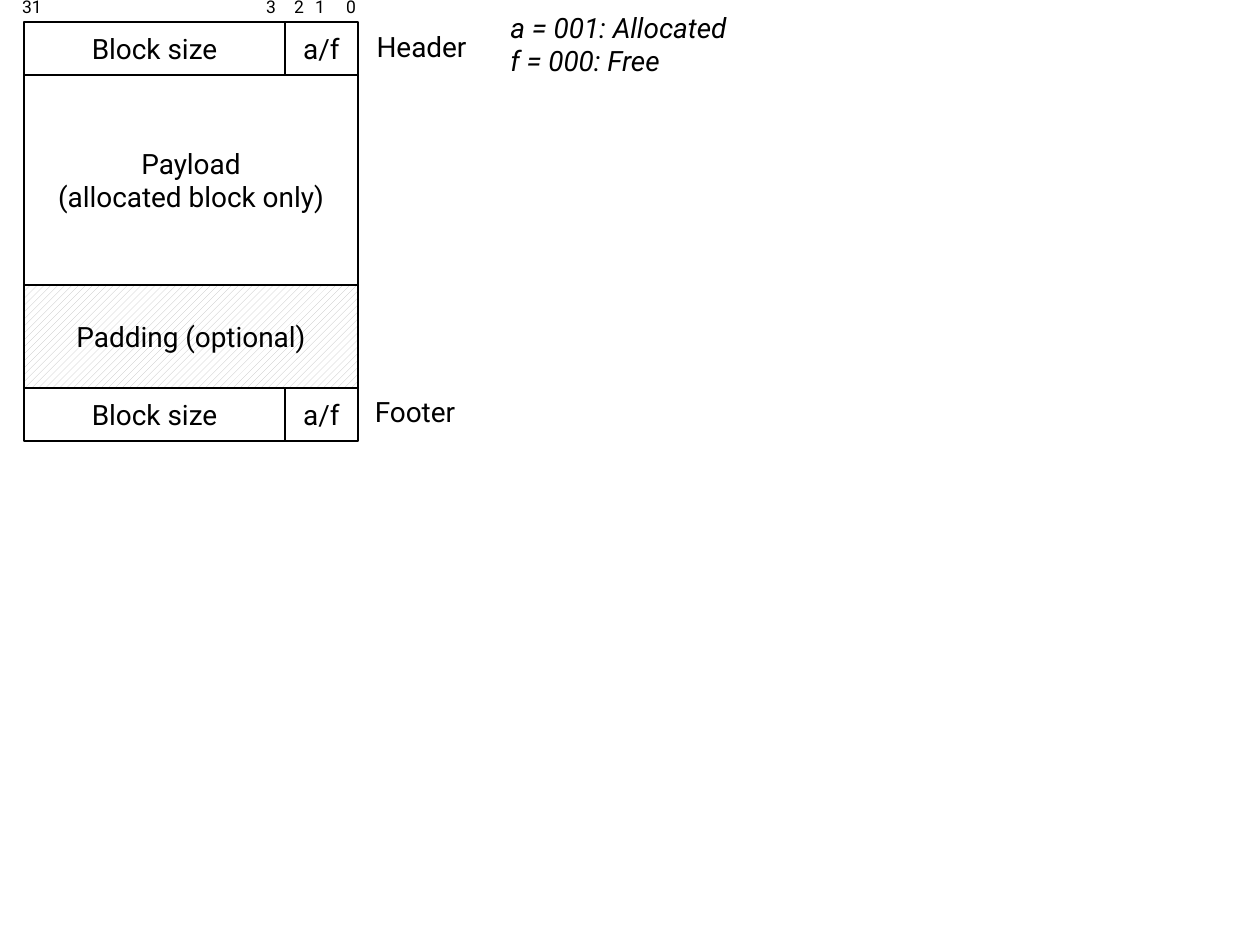
from dataclasses import dataclass
from typing import NamedTuple

from pptx import Presentation
from pptx import util as u
from pptx.dml.color import RGBColor
from pptx.enum import dml, shapes, text

PX_PER_INCH = 126


@dataclass(frozen=True)
class Theme:
    font: str = "Roboto"
    ink: RGBColor = RGBColor(0, 0, 0)
    paper: RGBColor = RGBColor(255, 255, 255)
    hatch: RGBColor = RGBColor(192, 192, 192)
    body: int = 16
    small: int = 10
    line: int = 1


class Field(NamedTuple):
    text: str
    x: int
    y: int
    w: int
    h: int
    hatched: bool = False


class Label(NamedTuple):
    text: str
    x: int
    y: int
    w: int
    h: int
    size: int
    italic: bool = False
    align: text.PP_ALIGN = text.PP_ALIGN.CENTER
    anchor: text.MSO_ANCHOR = text.MSO_ANCHOR.MIDDLE


THEME = Theme()
LEFT, SPLIT, RIGHT = 24, 285, 358
HEADER, PAYLOAD, PADDING, FOOTER, BOTTOM = 22, 75, 285, 388, 441
BIT_TOP, BIT_WIDTH, BIT_HEIGHT = -10, 50, 34
BIT_CENTERS = {"31": 32, "3": 271, "2": 299, "1": 320, "0": 351}


def px(n: int) -> u.Emu:
    return u.Emu(round(n * 914400 / PX_PER_INCH))


def write(tf, content: str, *, size: int = THEME.body, italic: bool = False,
          align=text.PP_ALIGN.CENTER, anchor=text.MSO_ANCHOR.MIDDLE) -> None:
    tf.word_wrap = False
    tf.vertical_anchor = anchor
    for i, line in enumerate(content.split("\n")):
        p = tf.paragraphs[0] if i == 0 else tf.add_paragraph()
        p.alignment = align
        r = p.add_run()
        r.text = line
        r.font.name = THEME.font
        r.font.size = u.Pt(size)
        r.font.italic = italic
        r.font.color.rgb = THEME.ink


def draw_field(s, field: Field) -> None:
    sp = s.shapes.add_shape(shapes.MSO_SHAPE.RECTANGLE,
                            px(field.x), px(field.y), px(field.w), px(field.h))
    sp.shadow.inherit = False
    if field.hatched:
        sp.fill.patterned()
        sp.fill.pattern = dml.MSO_PATTERN.WIDE_UPWARD_DIAGONAL
        sp.fill.fore_color.rgb = THEME.hatch
        sp.fill.back_color.rgb = THEME.paper
    else:
        sp.fill.solid()
        sp.fill.fore_color.rgb = THEME.paper
    sp.line.color.rgb = THEME.ink
    sp.line.width = u.Pt(THEME.line)
    write(sp.text_frame, field.text)


def draw_label(s, label: Label) -> None:
    tb = s.shapes.add_textbox(px(label.x), px(label.y), px(label.w), px(label.h))
    write(tb.text_frame, label.text, size=label.size, italic=label.italic,
          align=label.align, anchor=label.anchor)
    tb.text_frame.auto_size = text.MSO_AUTO_SIZE.SHAPE_TO_FIT_TEXT


def tag_row(top: int, bottom: int) -> list[Field]:
    return [Field("Block size", LEFT, top, SPLIT - LEFT, bottom - top),
            Field("a/f", SPLIT, top, RIGHT - SPLIT, bottom - top)]


def main() -> None:
    prs = Presentation()
    prs.slide_width, prs.slide_height = px(1260), px(945)
    s = prs.slides.add_slide(prs.slide_layouts[6])

    fields = [
        *tag_row(HEADER, PAYLOAD),
        Field("Payload\n(allocated block only)", LEFT, PAYLOAD,
              RIGHT - LEFT, PADDING - PAYLOAD),
        Field("Padding (optional)", LEFT, PADDING,
              RIGHT - LEFT, FOOTER - PADDING, hatched=True),
        *tag_row(FOOTER, BOTTOM),
    ]
    labels = [
        *(Label(bit, center - BIT_WIDTH // 2, BIT_TOP, BIT_WIDTH, BIT_HEIGHT,
                THEME.small) for bit, center in BIT_CENTERS.items()),
        Label("Header", 363, 23, 117, 47, THEME.body),
        Label("Footer", 362, 388, 106, 47, THEME.body),
        Label("a = 001: Allocated\nf = 000: Free", 498, 4, 258, 81, THEME.body,
              italic=True, align=text.PP_ALIGN.LEFT, anchor=text.MSO_ANCHOR.TOP),
    ]
    for field in fields:
        draw_field(s, field)
    for label in labels:
        draw_label(s, label)
    prs.save("out.pptx")


if __name__ == "__main__":
    main()
